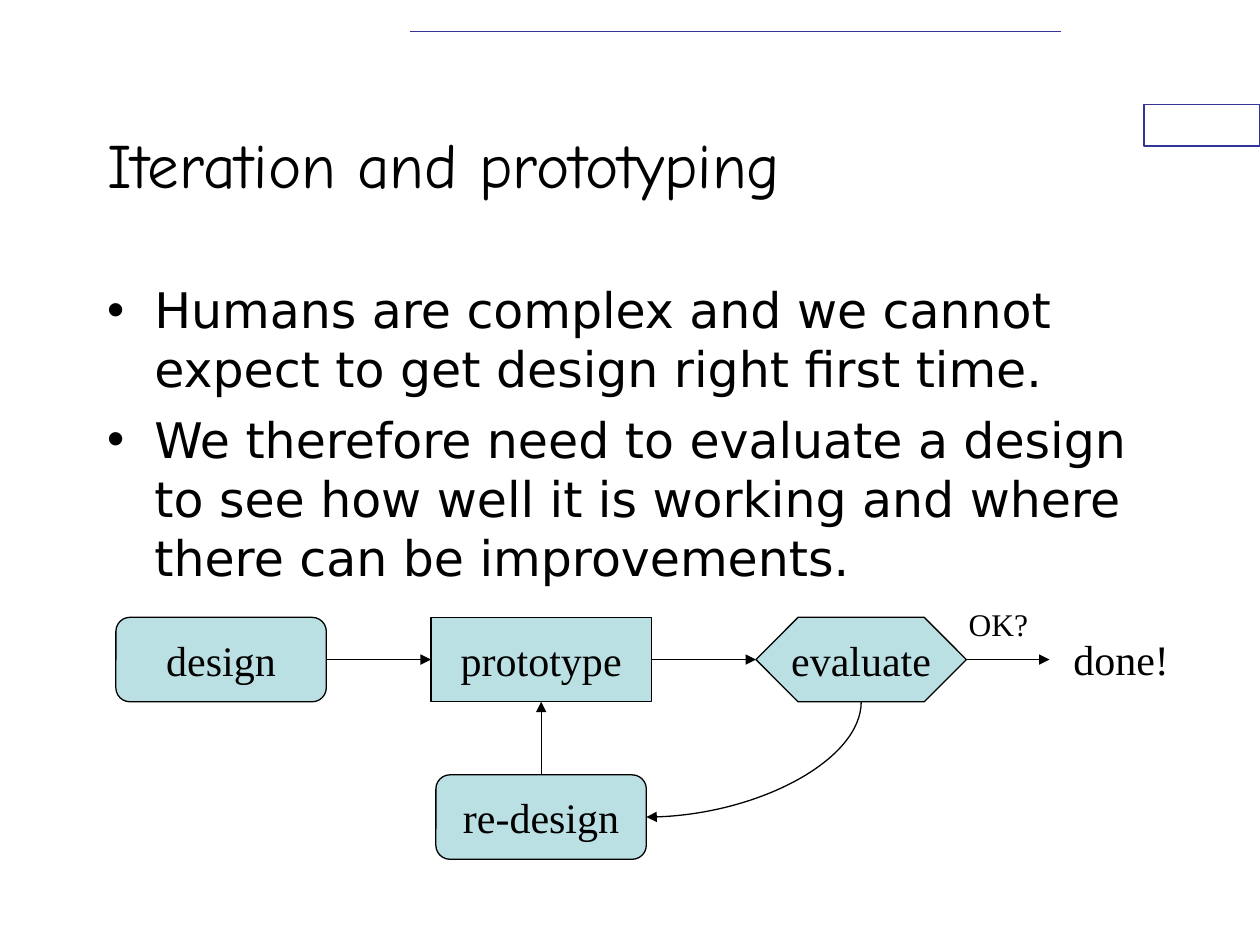
from lxml import etree
from pptx import Presentation
from pptx.dml.color import RGBColor
from pptx.enum.shapes import MSO_CONNECTOR, MSO_SHAPE
from pptx.enum.text import MSO_ANCHOR, MSO_AUTO_SIZE, PP_ALIGN
from pptx.oxml.ns import qn
from pptx.util import Inches, Pt

STRAIGHT, CURVE = MSO_CONNECTOR.STRAIGHT, MSO_CONNECTOR.CURVE
RECT, PROCESS = MSO_SHAPE.RECTANGLE, MSO_SHAPE.FLOWCHART_PROCESS
ROUNDED = MSO_SHAPE.FLOWCHART_ALTERNATE_PROCESS
HEXAGON = MSO_SHAPE.FLOWCHART_PREPARATION
LEFT, CENTER = PP_ALIGN.LEFT, PP_ALIGN.CENTER
TOP, MIDDLE = MSO_ANCHOR.TOP, MSO_ANCHOR.MIDDLE
NO_FIT = MSO_AUTO_SIZE.NONE

COLORS = {"text": "000000", "node": "BBE0E3", "accent": "333399", "paper": "FFFFFF"}
TITLE = {"name": "Comic Neue", "size": Pt(36)}
BODY = {"name": "DejaVu Sans", "size": Pt(28)}
LABEL = {"name": "Times New Roman", "size": Pt(24)}
SMALL = {**LABEL, "size": Pt(18)}


def color(key):
    return RGBColor.from_string(COLORS[key])


class SlideBuilder:
    def __init__(self, slide):
        self.slide = slide

    def add_text(self, sp, lines, font, align=LEFT, anchor=TOP, wrap=True, before=0):
        tf = sp.text_frame
        frame = {"word_wrap": wrap, "auto_size": NO_FIT, "vertical_anchor": anchor}
        for name, value in frame.items():
            setattr(tf, name, value)
        for i, line in enumerate(lines):
            p = tf.add_paragraph() if i else tf.paragraphs[0]
            p.alignment, p.space_before = align, Pt(before)
            r = p.add_run()
            r.text = line
            for name, value in font.items():
                setattr(r.font, name, value)
            r.font.color.rgb = color("text")

    def placeholder(self, idx, box, lines, font, **style):
        sp = self.slide.placeholders[idx]
        sp.left, sp.top, sp.width, sp.height = map(Inches, box)
        self.add_text(sp, lines, font, **style)

    def shape(self, kind, box, fill, line):
        sp = self.slide.shapes.add_shape(kind, *map(Inches, box))
        sp.shadow.inherit = False
        sp.fill.solid()
        sp.fill.fore_color.rgb = color(fill)
        sp.line.color.rgb = color(line)
        sp.line.width = Pt(0.75)
        return sp

    def node(self, kind, box, label):
        sp = self.shape(kind, box, "node", "text")
        self.add_text(sp, [label], LABEL, align=CENTER, anchor=MIDDLE, wrap=False)

    def label(self, box, text, font):
        sp = self.slide.shapes.add_textbox(*map(Inches, box))
        self.add_text(sp, [text], font, wrap=False)

    def line(self, start, end, stroke="text", width=0.75, arrow=True, kind=STRAIGHT):
        cxn = self.slide.shapes.add_connector(kind, *map(Inches, start + end))
        cxn.line.color.rgb = color(stroke)
        cxn.line.width = Pt(width)
        sp_pr = cxn._element.spPr
        etree.SubElement(sp_pr, qn("a:effectLst"))
        if arrow:
            etree.SubElement(sp_pr.find(qn("a:ln")), qn("a:tailEnd"), type="triangle")
        return cxn

    def quarter_curve(self, start, end):
        """Curve that leaves downwards and arrives leftwards: a box turned by 90 degrees."""
        (x1, y1), (x2, y2) = start, end
        cx, cy = (x1 + x2) / 2, (y1 + y2) / 2
        half_w, half_h = (y2 - y1) / 2, (x1 - x2) / 2
        cxn = self.line((cx - half_w, cy - half_h), (cx + half_w, cy + half_h), kind=CURVE)
        sp_pr = cxn._element.spPr
        sp_pr.find(qn("a:xfrm")).set("rot", "5400000")
        sp_pr.find(qn("a:prstGeom")).set("prst", "curvedConnector2")


def main():
    prs = Presentation()
    prs.slide_width, prs.slide_height = Inches(10), Inches(7.5)
    s = SlideBuilder(prs.slides.add_slide(prs.slide_layouts[1]))

    # Decoration
    s.shape(RECT, (9.08, 0.83, 0.92, 0.33), "paper", "accent")
    s.line((3.25, 0.25), (8.42, 0.25), "accent", 1, arrow=False)

    # Title and bullets
    s.placeholder(0, (0.75, 0.67, 7.5, 1.25), ["Iteration and prototyping"], TITLE,
                  anchor=MIDDLE)
    s.placeholder(1, (0.75, 2.17, 8.5, 4.5), [
        "Humans are complex and we cannot expect to get design right first time.",
        "We therefore need to evaluate a design to see how well it is working "
        "and where there can be improvements.",
    ], BODY, before=7)

    # Flow chart nodes
    top, low, w, h = 4.9, 6.15, 1.67, 0.67
    design, proto, evaluate, redesign = 0.92, 3.42, 6, 3.46
    proto_w = 1.75
    s.node(PROCESS, (proto, top, proto_w, h), "prototype")
    s.node(HEXAGON, (evaluate, top, w, h), "evaluate")
    s.node(ROUNDED, (design, top, w, h), "design")
    s.node(ROUNDED, (redesign, low, w, h), "re-design")

    # Arrows along the row, then back through the re-design
    mid = top + h / 2
    for x1, x2 in ((design + w, proto), (proto + proto_w, evaluate), (evaluate + w, 8.33)):
        s.line((x1, mid), (x2, mid))
    s.quarter_curve((evaluate + w / 2, top + h), (redesign + w, low + h / 2))
    center = proto + proto_w / 2
    s.line((center, low), (center, top + h))

    # Outcome labels
    s.label((8.42, 4.98, 0.96, 0.5), "done!", LABEL)
    s.label((7.59, 4.75, 0.67, 0.4), "OK?", SMALL)

    prs.save("out.pptx")


if __name__ == "__main__":
    main()
